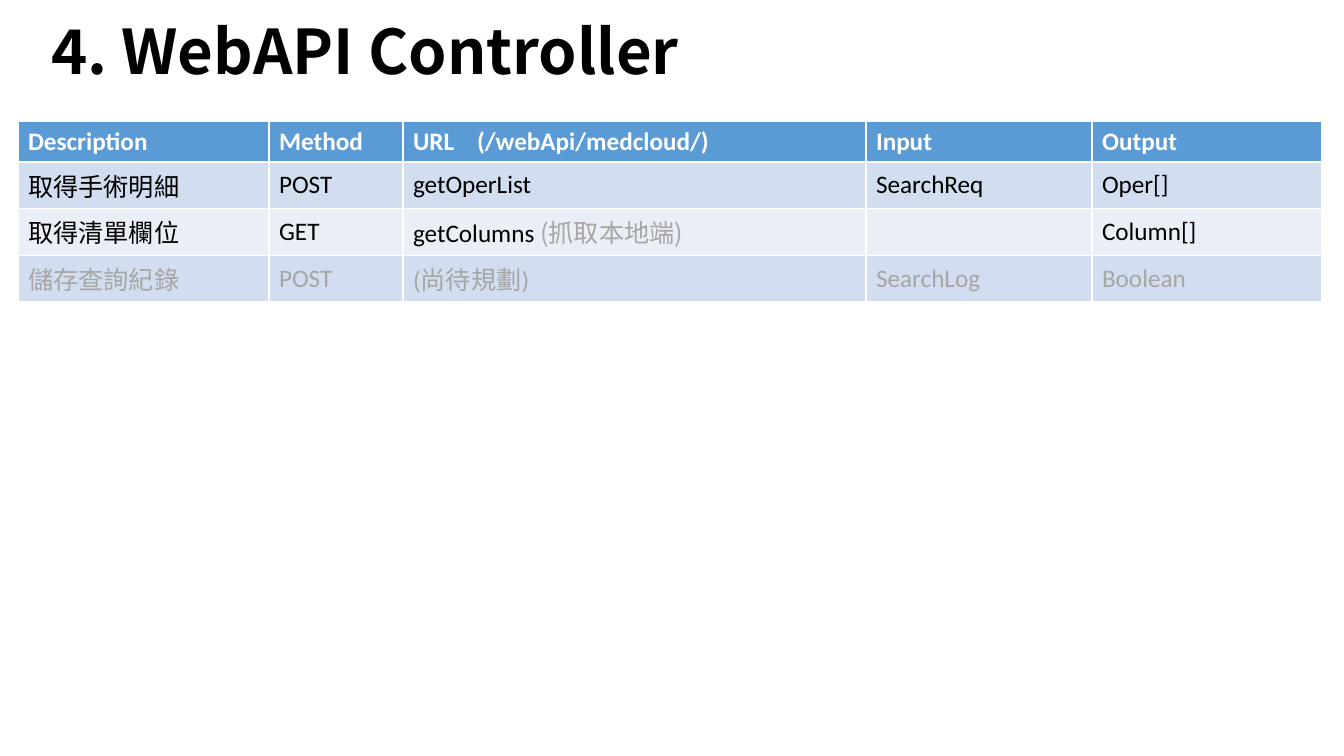
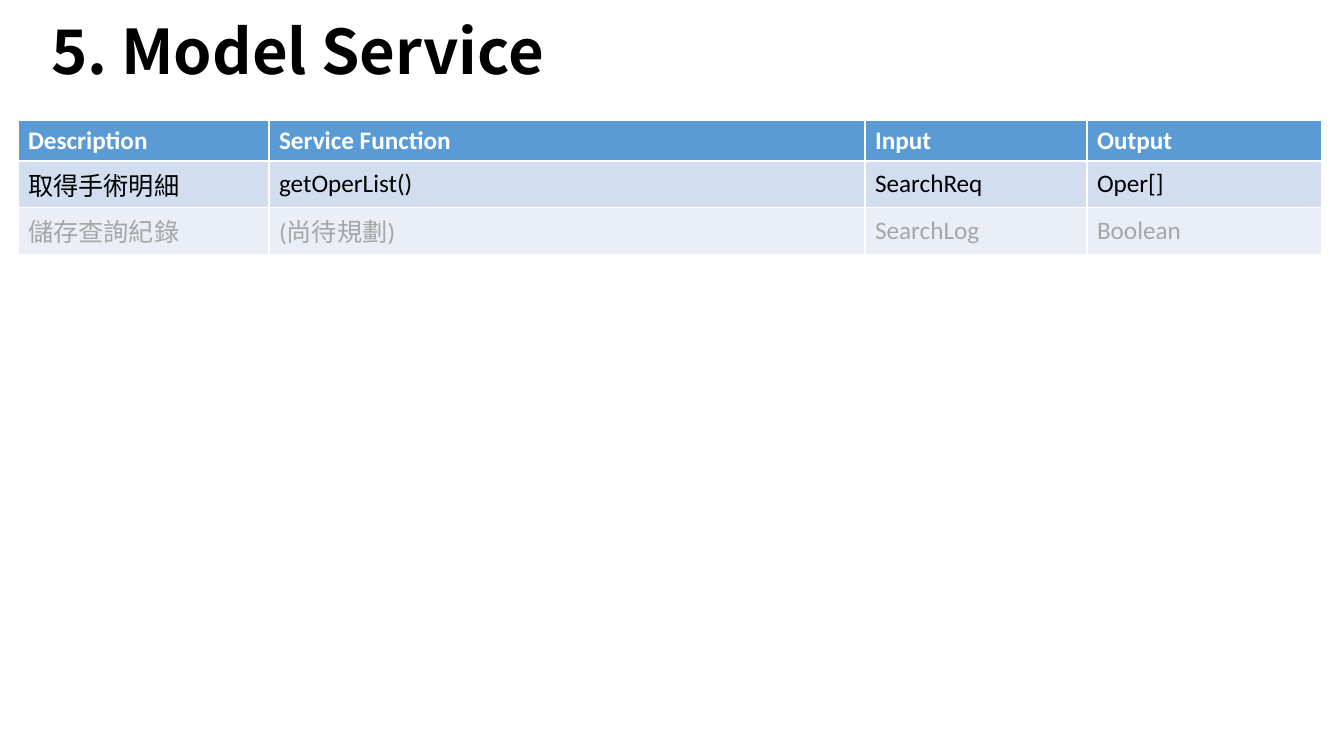
from lxml.etree import SubElement
from pptx import Presentation
from pptx.dml.color import RGBColor as RGB
from pptx.enum.text import MSO_ANCHOR as Anchor, PP_ALIGN as Align
from pptx.oxml.ns import qn
from pptx.util import Pt

PX = 9071
LATIN = "Calibri"
HAN = "Noto Sans CJK SC"
BLACK = RGB(0x00, 0x00, 0x00)
WHITE = RGB(0xFF, 0xFF, 0xFF)
GRAY = RGB(0xA6, 0xA6, 0xA6)
BLUE = RGB(0x5B, 0x9B, 0xD5)
BANDS = [RGB(0xEA, 0xEF, 0xF7), RGB(0xD2, 0xDE, 0xEF)]
HEAD_H, ROW_H = 41, 46

PAGES = [
    {
        "title": "4. WebAPI Controller",
        "top": 121,
        "cols": [251, 134, 463, 226, 230],
        "rows": [
            ["Description", "Method", "URL    (/webApi/medcloud/)", "Input", "Output"],
            ["取得手術明細", "POST", "getOperList", "SearchReq", "Oper[]"],
            ["取得清單欄位", "GET", ("getColumns ", "(抓取本地端)"), "", "Column[]"],
            ["儲存查詢紀錄", "POST", "(尚待規劃)", "SearchLog", "Boolean"],
        ],
    },
    {
        "title": "5. Model Service",
        "top": 120,
        "cols": [251, 596, 222, 235],
        "rows": [
            ["Description", "Service Function", "Input", "Output"],
            ["取得手術明細", "getOperList()", "SearchReq", "Oper[]"],
            ["儲存查詢紀錄", "(尚待規劃)", "SearchLog", "Boolean"],
        ],
    },
]


def style(para, size, color, bold, name):
    font = para.font
    font.size = Pt(size)
    font.bold = bold
    font.color.rgb = color
    font.name = name
    SubElement(para._p.pPr.find(qn("a:defRPr")), qn("a:ea"), typeface=HAN)


deck = Presentation()
deck.slide_width = 1344 * PX
deck.slide_height = 756 * PX

for page in PAGES:
    slide = deck.slides.add_slide(deck.slide_layouts[5])
    title = slide.shapes.title
    title.left, title.top, title.width, title.height = [n * PX for n in (41, -10, 938, 129)]
    title.text_frame.text = page["title"]
    title.text_frame.vertical_anchor = Anchor.MIDDLE
    para = title.text_frame.paragraphs[0]
    para.alignment = Align.LEFT
    para.line_spacing = 0.9
    style(para, 44, BLACK, True, HAN)

    cols, rows = page["cols"], page["rows"]
    high = HEAD_H + ROW_H * (len(rows) - 1)
    table = slide.shapes.add_table(
        len(rows), len(cols), 18 * PX, page["top"] * PX, sum(cols) * PX, high * PX
    ).table
    for col, width in zip(table.columns, cols):
        col.width = width * PX
    for i, row in enumerate(rows):
        head = i == 0
        table.rows[i].height = (HEAD_H if head else ROW_H) * PX
        color = WHITE if head else GRAY if row[-1] == "Boolean" else BLACK
        for j, text in enumerate(row):
            cell = table.cell(i, j)
            cell.fill.solid()
            cell.fill.fore_color.rgb = BLUE if head else BANDS[i % 2]
            cell.vertical_anchor = Anchor.MIDDLE
            para = cell.text_frame.paragraphs[0]
            style(para, 18, color, head, LATIN)
            if isinstance(text, tuple):
                main, note = text
                para.add_run().text = main
                run = para.add_run()
                run.text = note
                run.font.name = HAN
                run.font.color.rgb = GRAY
            elif text:
                para.add_run().text = text

deck.save("out.pptx")
